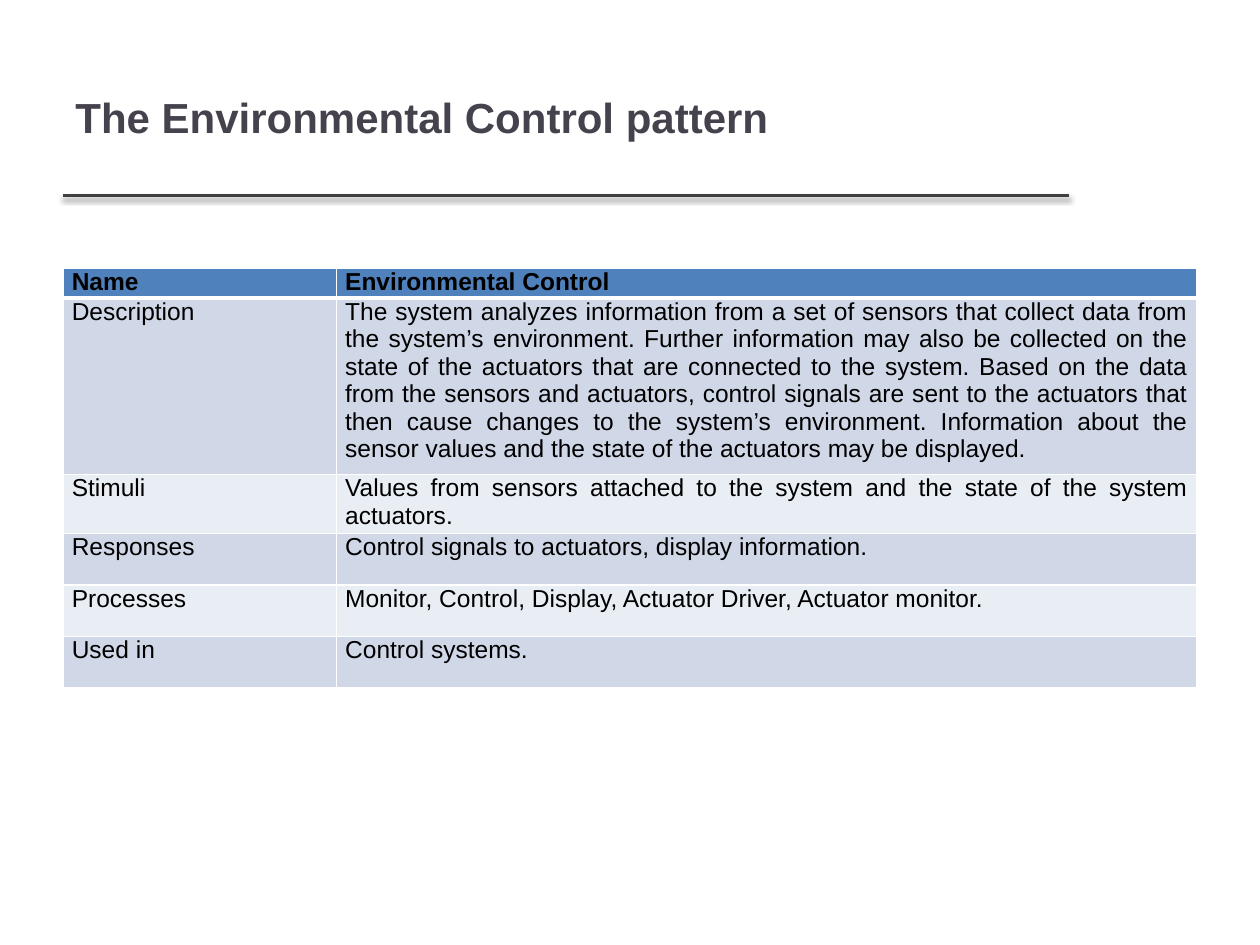
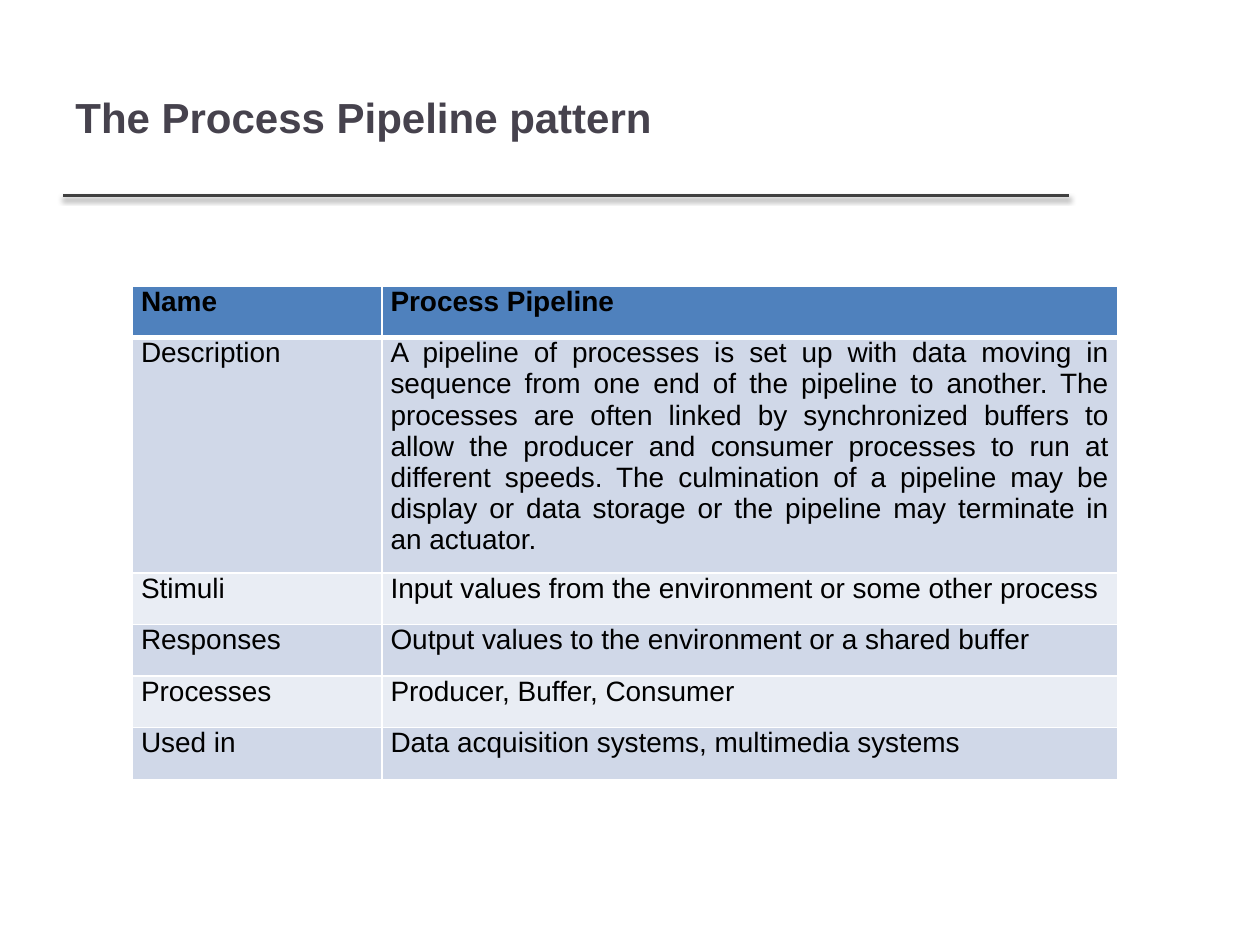
"""Builds two slides, each describing a real-time pattern in a table."""
from lxml.etree import SubElement as Sub
from pptx import Presentation
from pptx.dml.color import RGBColor as Rgb
from pptx.enum.shapes import MSO_CONNECTOR as Conn
from pptx.enum.text import MSO_ANCHOR as Anchor, PP_ALIGN as Align
from pptx.oxml.ns import qn
from pptx.util import Pt

HUES = {"title": "46424D", "rule": "404040", "head": "4F81BD", "odd": "D0D8E8",
        "even": "E9EDF4", "edge": "FFFFFF", "text": "000000", "shade": "000000"}
FACE = "Arial"
LEFT, WIDE, RULE = 36, 575, 111.6
LABELS = ["Name", "Description", "Stimuli", "Responses", "Processes", "Used in"]

CONTROL = [
    "Environmental Control",
    "The system analyzes information from a set of sensors that collect data from "
    "the system’s environment. Further information may also be collected on the "
    "state of the actuators that are connected to the system. Based on the data "
    "from the sensors and actuators, control signals are sent to the actuators that "
    "then cause changes to the system’s environment. Information about the sensor "
    "values and the state of the actuators may be displayed.",
    "Values from sensors attached to the system and the state of the system actuators.",
    "Control signals to actuators, display information.",
    "Monitor, Control, Display, Actuator Driver, Actuator monitor.",
    "Control systems.",
]
PIPELINE = [
    "Process Pipeline",
    "A pipeline of processes is set up with data moving in sequence from one end of "
    "the pipeline to another. The processes are often linked by synchronized buffers "
    "to allow the producer and consumer processes to run at different speeds. The "
    "culmination of a pipeline may be display or data storage or the pipeline may "
    "terminate in an actuator.",
    "Input values from the environment or some other process",
    "Output values to the environment or a shared buffer",
    "Producer, Buffer, Consumer",
    "Data acquisition systems, multimedia systems",
]


def apply(item, style):
    for name, value in style.items():
        setattr(item, name, value)


def write(para, text, size, bold, hue):
    run = para.add_run()
    run.text = text
    apply(run.font, {"name": FACE, "size": Pt(size), "bold": bold})
    run.font.color.rgb = Rgb.from_string(HUES[hue])


def add_title(slide, text):
    box = slide.shapes.add_textbox(Pt(LEFT), Pt(21.6), Pt(WIDE), Pt(90))
    apply(box.text_frame, {"word_wrap": True, "vertical_anchor": Anchor.MIDDLE})
    write(box.text_frame.paragraphs[0], text, 24, True, "title")


def add_rule(slide):
    rule = slide.shapes.add_connector(
        Conn.STRAIGHT, Pt(LEFT), Pt(RULE), Pt(LEFT + WIDE), Pt(RULE))
    rule.line.width = Pt(2)
    rule.line.color.rgb = Rgb.from_string(HUES["rule"])
    glow = Sub(Sub(rule._element.spPr, qn("a:effectLst")), qn("a:outerShdw"),
               blurRad=str(Pt(3.15)), dist=str(Pt(1.6)), dir="5400000", rotWithShape="0")
    shade = Sub(glow, qn("a:srgbClr"), val=HUES["shade"])
    Sub(shade, qn("a:alpha"), val="38000")


def add_edges(cell, row):
    props = cell._tc.get_or_add_tcPr()
    sizes = {"L": 1, "R": 1, "T": 3 if row == 1 else 1, "B": 3 if row == 0 else 1}
    for spot, (side, size) in enumerate(sizes.items()):
        edge = Sub(props, qn("a:ln" + side), w=str(Pt(size)))
        Sub(Sub(edge, qn("a:solidFill")), qn("a:srgbClr"), val=HUES["edge"])
        props.insert(spot, edge)


def fill_cell(cell, text, row, size):
    apply(cell, {"margin_left": Pt(5.04), "margin_right": Pt(5.04),
                 "margin_top": 0, "margin_bottom": 0})
    cell.fill.solid()
    band = "head" if row == 0 else "odd" if row % 2 else "even"
    cell.fill.fore_color.rgb = Rgb.from_string(HUES[band])
    para = cell.text_frame.paragraphs[0]
    apply(para, {"alignment": Align.JUSTIFY, "space_after": Pt(3),
                 "space_before": Pt(3 if row < 2 else 0)})
    write(para, text, size, row == 0, "text")
    add_edges(cell, row)


def add_grid(slide, left, top, cols, head, size, facts):
    rows = [head] + [29.52] * (len(facts) - 1)
    grid = slide.shapes.add_table(len(rows), len(cols), Pt(left), Pt(top),
                                  Pt(sum(cols)), Pt(sum(rows))).table
    for col, width in zip(grid.columns, cols):
        col.width = Pt(width)
    for row, pair in enumerate(zip(LABELS, facts)):
        grid.rows[row].height = Pt(rows[row])
        for col, text in enumerate(pair):
            fill_cell(grid.cell(row, col), text, row, size)


def add_slide(deck, title, **grid):
    slide = deck.slides.add_slide(deck.slide_layouts[6])
    add_rule(slide)
    add_title(slide, title)
    add_grid(slide, **grid)


def main():
    deck = Presentation()
    apply(deck, {"slide_width": Pt(720), "slide_height": Pt(540)})
    add_slide(deck, "The Environmental Control pattern", left=36, top=153.36,
              cols=[156.24, 491.76], head=15.12, size=14, facts=CONTROL)
    add_slide(deck, "The Process Pipeline pattern", left=75.6, top=163.44,
              cols=[142.56, 420.48], head=29.52, size=16, facts=PIPELINE)
    deck.save("out.pptx")


main()
